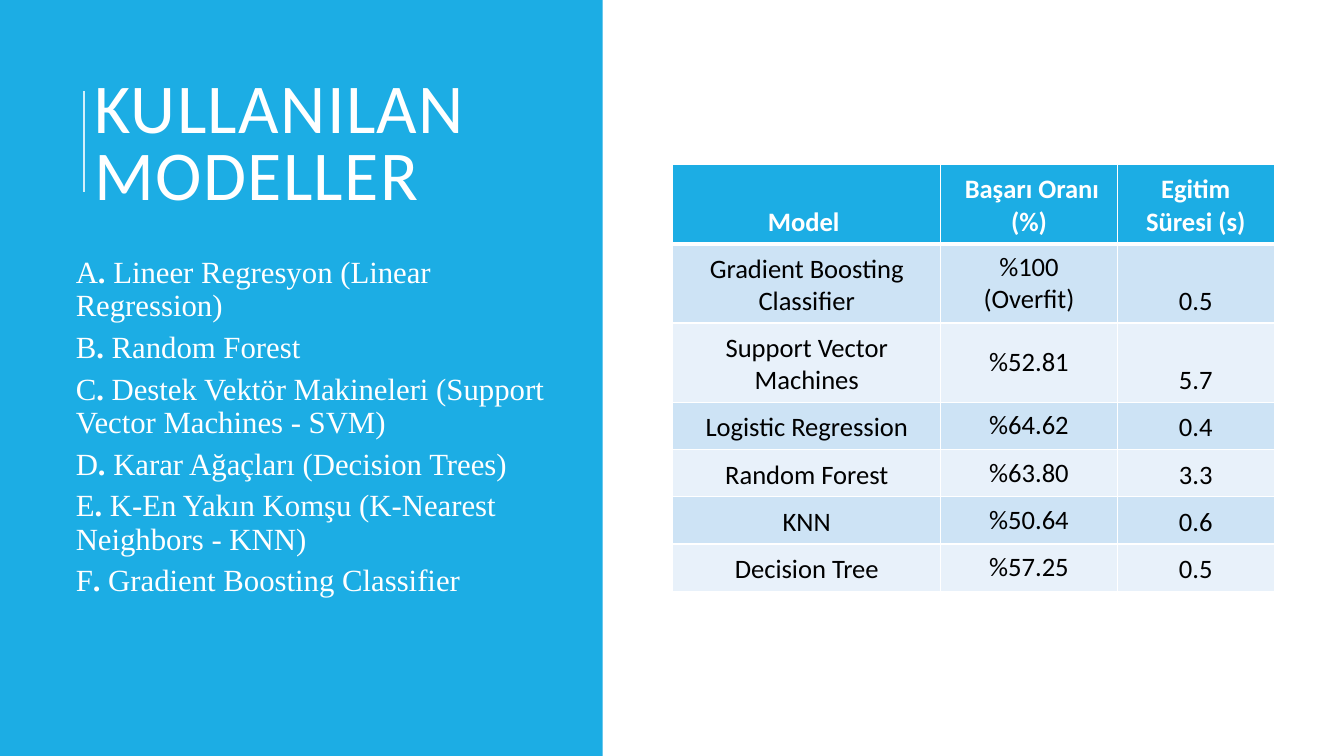
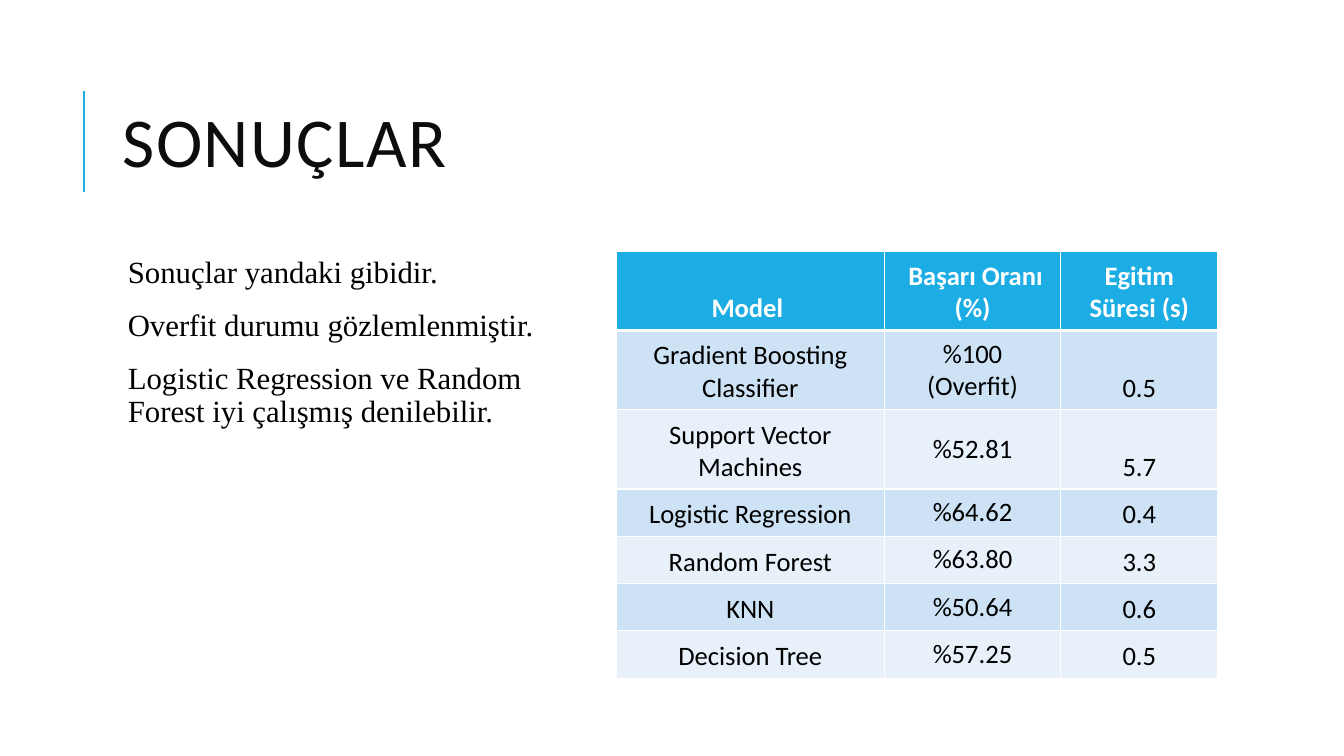
from dataclasses import dataclass

from pptx import Presentation
from pptx.dml.color import RGBColor
from pptx.enum import shapes, text
from pptx.oxml import ns, xmlchemy
from pptx.util import Pt


@dataclass(frozen=True)
class Theme:
    accent: str = "1CADE4"
    pale: str = "D2EFFA"
    white: str = "FFFFFF"
    black: str = "000000"
    ink: str = "0D0D0D"
    bands: tuple = ("CDE3F5", "E8F1FA")
    sans: str = "Calibri"
    serif: str = "Times New Roman"
    title_size: int = 50
    body_size: int = 22
    table_size: int = 19


THEME = Theme()
WIDTH, HEIGHT = 960, 540

MODELS = [
    "Lineer Regresyon (Linear Regression)",
    "Random Forest",
    "Destek Vektör Makineleri (Support Vector Machines - SVM)",
    "Karar Ağaçları (Decision Trees)",
    "K-En Yakın Komşu (K-Nearest Neighbors - KNN)",
    "Gradient Boosting Classifier",
]
FINDINGS = [
    "Sonuçlar yandaki gibidir.",
    "Overfit durumu gözlemlenmiştir.",
    "Logistic Regression ve Random Forest iyi çalışmış denilebilir.",
]
SCORES = [
    ("Model ", " Başarı Oranı (%)", "Egitim Süresi (s)"),
    ("Gradient Boosting Classifier", "%100 (Overfit)", "0.5"),
    ("Support Vector Machines", "%52.81", "5.7"),
    ("Logistic Regression", "%64.62", "0.4"),
    ("Random Forest", "%63.80", "3.3"),
    ("KNN", "%50.64", "0.6"),
    ("Decision Tree", "%57.25", "0.5"),
]
COLUMN_WIDTHS = (191.5, 126, 112.3)
TALL_ROW, SHORT_ROW = 56.6, 33.8
ROW_HEIGHTS = [TALL_ROW] * 3 + [SHORT_ROW] * 4


def color(value):
    return RGBColor.from_string(value)


def place(shape, left, top, width, height):
    shape.left, shape.top = Pt(left), Pt(top)
    shape.width, shape.height = Pt(width), Pt(height)


def style(para, face, size, ink, bold=None):
    font = para.font
    font.name, font.size, font.bold = face, Pt(size), bold
    font.color.rgb = color(ink)


def child(parent, tag, **attributes):
    element = xmlchemy.OxmlElement(tag)
    for name, value in attributes.items():
        element.set(name, str(value))
    parent.append(element)
    return element


def add_title(page, wording, left, width, ink):
    title = page.shapes.title
    place(title, left, 46, width, 118)
    frame = title.text_frame
    frame.text = wording
    frame.word_wrap = True
    frame.auto_size = text.MSO_AUTO_SIZE.NONE
    frame.vertical_anchor = text.MSO_ANCHOR.MIDDLE
    para = frame.paragraphs[0]
    para.alignment = text.PP_ALIGN.LEFT
    para.line_spacing = 0.8
    style(para, THEME.sans, THEME.title_size, ink)
    para._p.pPr.find(ns.qn("a:defRPr")).set("spc", "100")


def add_rule(page, ink):
    rule = page.shapes.add_connector(
        shapes.MSO_CONNECTOR.STRAIGHT, Pt(60), Pt(137), Pt(60), Pt(65))
    rule.line.color.rgb = color(ink)
    rule.line.width = Pt(1.5)
    child(rule._element.spPr, "a:effectLst")


def add_body(page, paragraphs, bounds, ink, before, after, indent):
    body = page.placeholders[1]
    place(body, *bounds)
    frame = body.text_frame
    frame.word_wrap = True
    frame.auto_size = text.MSO_AUTO_SIZE.NONE
    frame.margin_left = frame.margin_right = Pt(3.6)
    frame.margin_top = frame.margin_bottom = Pt(3.6)
    for index, runs in enumerate(paragraphs):
        para = frame.paragraphs[0] if index == 0 else frame.add_paragraph()
        for wording, bold in runs:
            span = para.add_run()
            span.text = wording
            if bold:
                span.font.bold = True
        properties = para._p.get_or_add_pPr()
        properties.set("marL", str(Pt(indent)))
        properties.set("indent", "0")
        child(properties, "a:buNone")
        para.line_spacing = 0.9
        para.space_before, para.space_after = Pt(before), Pt(after)
        style(para, THEME.serif, THEME.body_size, ink)


def add_borders(cell, row):
    widths = {"L": 1, "R": 1, "T": 3 if row == 1 else 1, "B": 3 if row == 0 else 1}
    properties = cell._tc.get_or_add_tcPr()
    for side, width in widths.items():
        line = child(properties, f"a:ln{side}", w=Pt(width))
        child(child(line, "a:solidFill"), "a:srgbClr", val=THEME.white)


def add_scores(page, left, top):
    table = page.shapes.add_table(
        len(SCORES), len(COLUMN_WIDTHS), Pt(left), Pt(top),
        Pt(sum(COLUMN_WIDTHS)), Pt(sum(ROW_HEIGHTS))).table
    for column, width in zip(table.columns, COLUMN_WIDTHS):
        column.width = Pt(width)
    for r, (values, height) in enumerate(zip(SCORES, ROW_HEIGHTS)):
        table.rows[r].height = Pt(height)
        header = r == 0
        for c, value in enumerate(values):
            cell = table.cell(r, c)
            cell.text = value
            middle = c == 1 and not header
            cell.vertical_anchor = text.MSO_ANCHOR.MIDDLE if middle else text.MSO_ANCHOR.BOTTOM
            cell.margin_left = cell.margin_right = Pt(7.8)
            cell.margin_top = cell.margin_bottom = Pt(3.9)
            add_borders(cell, r)
            cell.fill.solid()
            cell.fill.fore_color.rgb = color(THEME.accent if header else THEME.bands[(r - 1) % 2])
            para = cell.text_frame.paragraphs[0]
            para.alignment = text.PP_ALIGN.CENTER
            style(para, THEME.sans, THEME.table_size,
                  THEME.white if header else THEME.black, header)


def add_panel(page):
    panel = page.shapes.add_shape(
        shapes.MSO_SHAPE.RECTANGLE, 0, 0, Pt(430.5), Pt(HEIGHT))
    panel.shadow.inherit = False
    panel.fill.solid()
    panel.fill.fore_color.rgb = color(THEME.accent)
    panel.line.fill.background()
    page.shapes._spTree.insert(2, panel._element)


def build_models(page):
    add_panel(page)
    add_title(page, "KULLANILAN MODELLER", 60, 318, THEME.white)
    add_rule(page, THEME.pale)
    lettered = [[(letter, False), (". ", True), (model, False)]
                for letter, model in zip("ABCDEF", MODELS)]
    add_body(page, lettered, (50.5, 180, 355, 310), THEME.white, 0, 6, 0)
    add_scores(page, 480.5, 117.5)


def build_results(page):
    add_rule(page, THEME.accent)
    add_title(page, "SONUÇLAR", 80.5, 765.5, THEME.ink)
    findings = [[(finding, False)] for finding in FINDINGS]
    add_body(page, findings, (80.5, 180, 347, 317), THEME.black, 12, 2, 7.2)
    add_scores(page, 440.2, 179.5)


def main():
    deck = Presentation()
    deck.slide_width, deck.slide_height = Pt(WIDTH), Pt(HEIGHT)
    for build in (build_models, build_results):
        build(deck.slides.add_slide(deck.slide_layouts[1]))
    deck.save("out.pptx")


if __name__ == "__main__":
    main()
